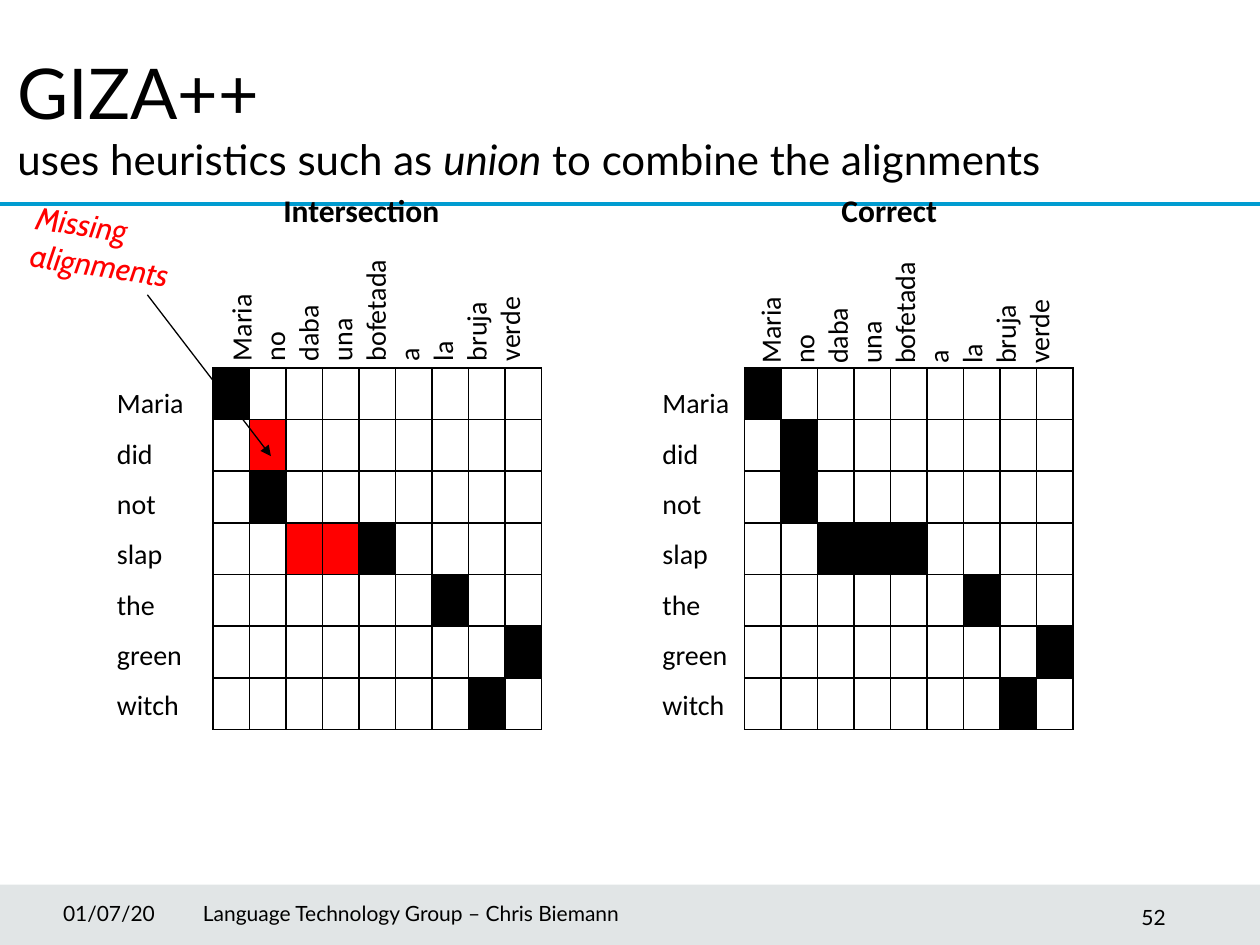
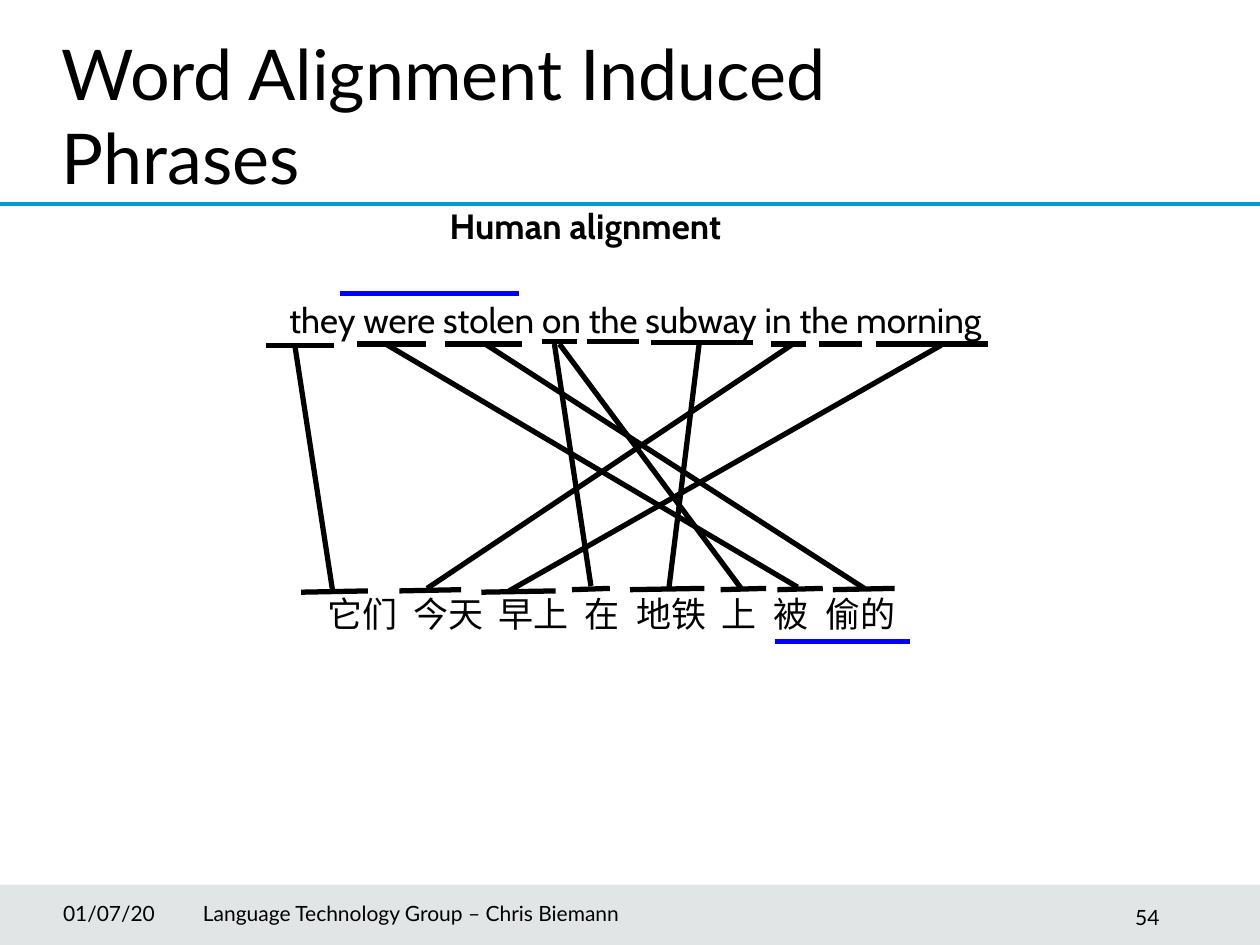
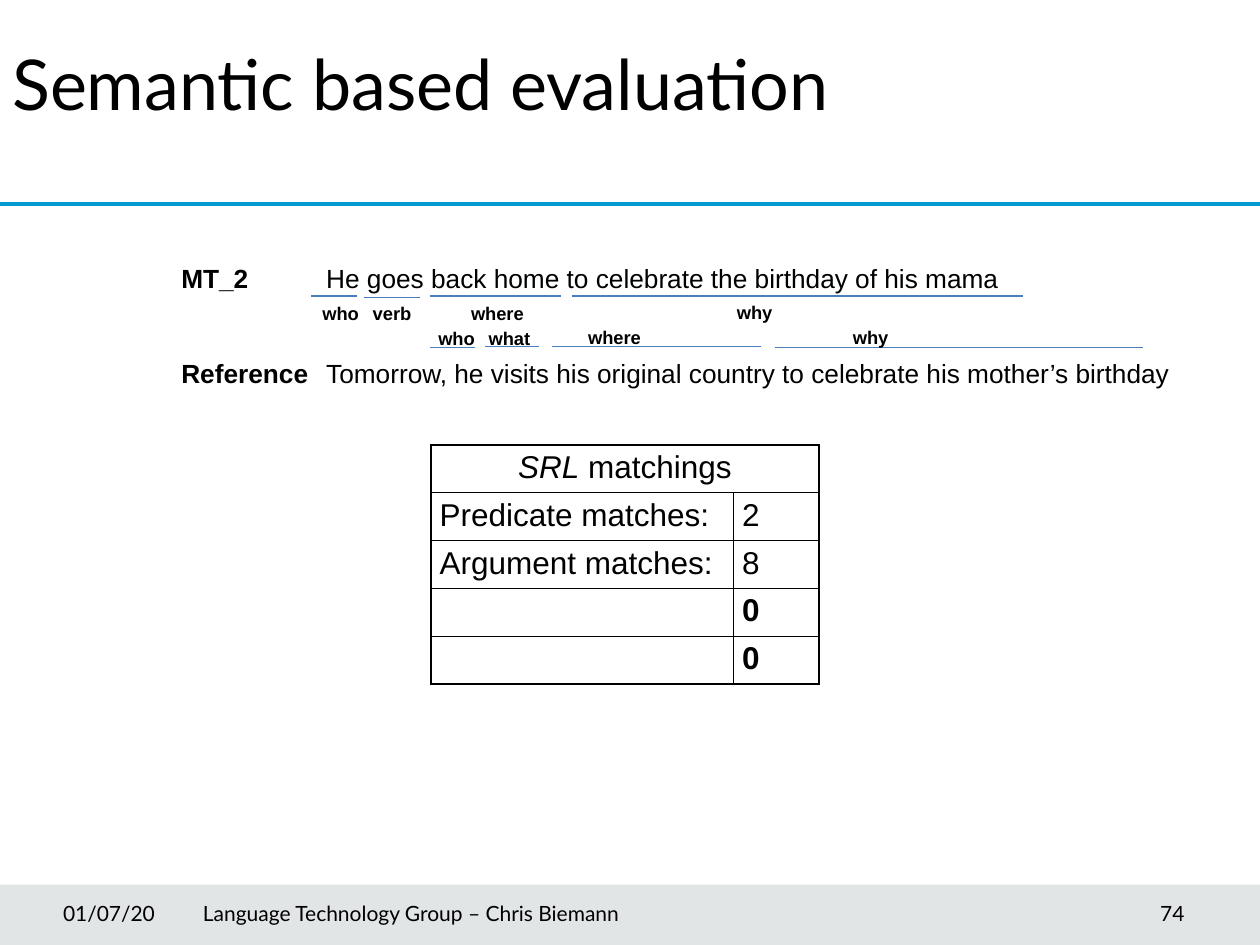
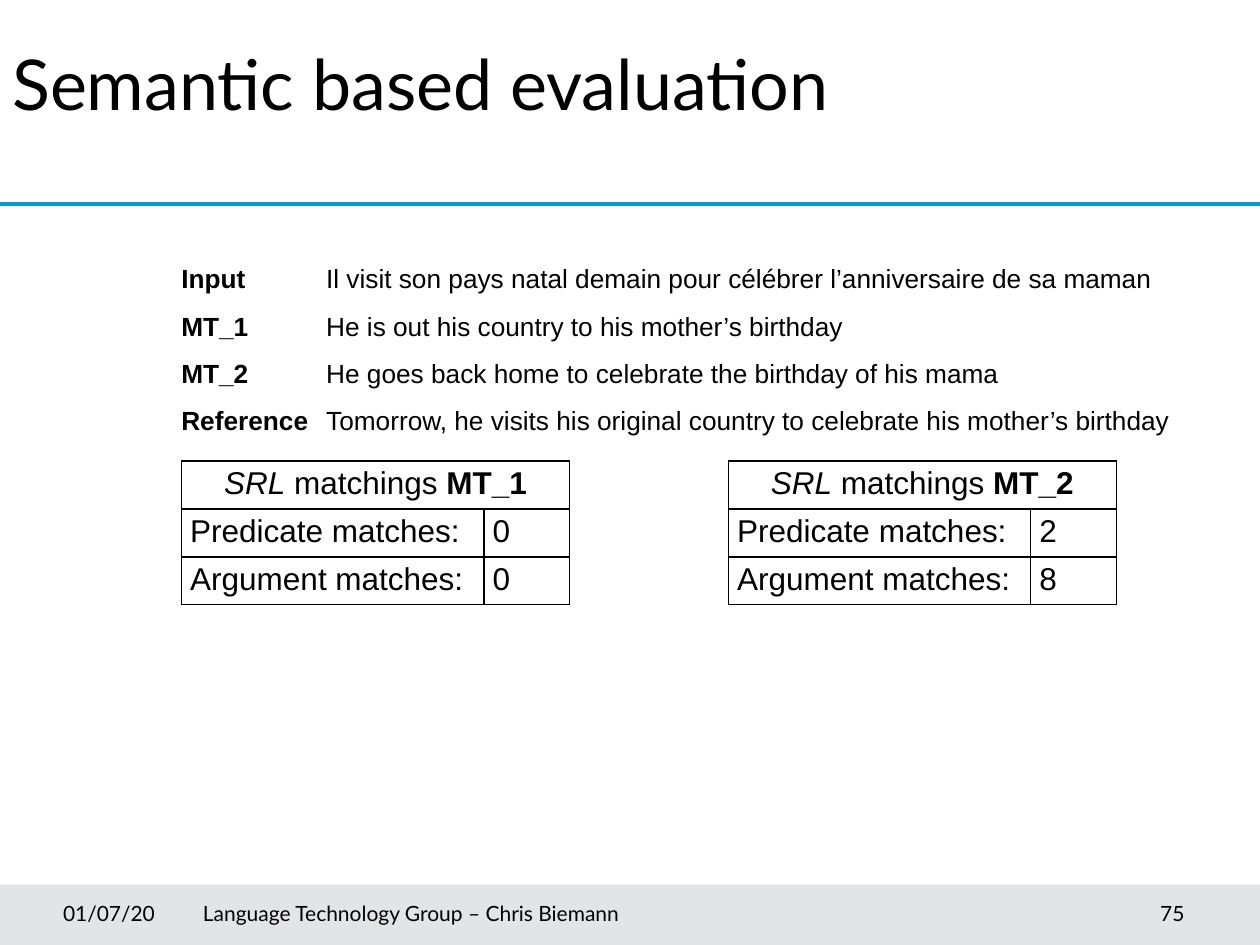
from dataclasses import dataclass
from itertools import accumulate

from lxml import etree
from pptx import Presentation
from pptx import util as u
from pptx.dml.color import RGBColor
from pptx.enum import shapes, text
from pptx.oxml.ns import qn

PX = 9144  # one px is a hundredth of an inch
LEFT, CENTER, RIGHT = text.PP_ALIGN.LEFT, text.PP_ALIGN.CENTER, text.PP_ALIGN.RIGHT


@dataclass(frozen=True)
class Theme:
    black: str = "000000"
    white: str = "FFFFFF"
    red: str = "FF0000"
    blue: str = "0000FF"
    rule: str = "009CD1"
    band: str = "3B515B"
    role_line: str = "4B7EBC"
    heading_font: str = "Lato"
    grid_font: str = "Calibri"
    example_font: str = "Cabin"
    body_font: str = "Arial"
    title: float = 40
    subtitle: float = 24
    phrase: float = 20
    caption: float = 18
    word: float = 16
    body: float = 15
    footer: float = 12
    role: float = 10.5


def color(value):
    return RGBColor.from_string(value)


class Deck:
    def __init__(self, theme):
        self.theme = theme
        self.presentation = Presentation()
        self.presentation.slide_width = u.Emu(1000 * PX)
        self.presentation.slide_height = u.Emu(750 * PX)
        self.slide = None

    def new_slide(self, number, number_box, align=LEFT):
        """Start a slide with its rule, footer band and footer texts."""
        theme = self.theme
        self.slide = self.presentation.slides.add_slide(self.presentation.slide_layouts[6])
        band = self.rectangle((0, 702, 1000, 48), theme.band)
        fill_color = band._element.spPr.find(qn("a:solidFill"))[0]
        etree.SubElement(fill_color, qn("a:alpha"), val="15000")
        self.line((0, 162), (1000, 162), theme.rule, 2)
        footer = dict(font=theme.heading_font, size=theme.footer, middle=True)
        self.text((50, 705, 99, 40), ["01/07/20"], inset=0, **footer)
        self.text((157, 705, 495, 40), ["Language Technology Group – Chris Biemann"],
                  inset=4, **footer)
        self.text(number_box, [str(number)], align=align,
                  inset=10 if align == RIGHT else 0, **footer)

    def title(self, box, runs):
        self.text(box, [runs], self.theme.heading_font, self.theme.title)

    def rectangle(self, box, fill):
        shape = self.slide.shapes.add_shape(
            shapes.MSO_SHAPE.RECTANGLE, *(value * PX for value in box))
        shape.shadow.inherit = False
        shape.fill.solid()
        shape.fill.fore_color.rgb = color(fill)
        shape.line.fill.background()
        return shape

    def text(self, box, paragraphs, font, size, ink=None, style="", align=LEFT, fill=None,
             inset=10, middle=False, grow=False, rotation=0, spacing=None, gap=0, tabs=()):
        if fill:
            shape = self.rectangle(box, fill)
        else:
            shape = self.slide.shapes.add_textbox(*(value * PX for value in box))
        shape.rotation = rotation
        frame = shape.text_frame
        frame.word_wrap = not grow
        frame.auto_size = (text.MSO_AUTO_SIZE.SHAPE_TO_FIT_TEXT if grow
                           else text.MSO_AUTO_SIZE.NONE)
        frame.vertical_anchor = text.MSO_ANCHOR.MIDDLE if middle else text.MSO_ANCHOR.TOP
        frame.margin_left = inset * PX
        for index, content in enumerate(paragraphs):
            paragraph = frame.add_paragraph() if index else frame.paragraphs[0]
            paragraph.alignment = align
            if spacing:
                paragraph.line_spacing = spacing
            if index and gap:
                paragraph.space_before = u.Pt(gap)
            if tabs:
                tab_list = etree.SubElement(paragraph._p.get_or_add_pPr(), qn("a:tabLst"))
                for tab in tabs:
                    etree.SubElement(tab_list, qn("a:tab"), pos=str(tab * PX), algn="l")
            self.add_runs(paragraph, content, font, size, ink, style)

    def add_runs(self, paragraph, content, font, size, ink=None, style=""):
        """Content is plain text or a list of (text, style[, size]) runs."""
        runs = [(content, style)] if isinstance(content, str) else content
        for words, run_style, *run_size in runs:
            if words == "\n":
                paragraph.add_line_break()
                continue
            run = paragraph.add_run()
            run.text = words
            run.font.name = font
            run.font.size = u.Pt(run_size[0] if run_size else size)
            run.font.bold = "b" in run_style
            run.font.italic = "i" in run_style
            run.font.color.rgb = color(ink or self.theme.black)

    def line(self, start, end, ink, width, arrow=False):
        connector = self.slide.shapes.add_connector(
            shapes.MSO_CONNECTOR.STRAIGHT, *(value * PX for value in (*start, *end)))
        connector.line.color.rgb = color(ink)
        connector.line.width = u.Pt(width)
        properties = connector._element.spPr
        if arrow:
            etree.SubElement(properties.find(qn("a:ln")), qn("a:tailEnd"), type="triangle")
        etree.SubElement(properties, qn("a:effectLst"))

    def table(self, left, top, widths, height, row_count):
        """Add an unfilled table with thin black borders."""
        frame = self.slide.shapes.add_table(
            row_count, len(widths), left * PX, top * PX,
            sum(widths) * PX, height * row_count * PX)
        table = frame.table
        table.first_row = table.horz_banding = False
        for column, width in zip(table.columns, widths):
            column.width = width * PX
        for row in table.rows:
            row.height = height * PX
        for cell in table.iter_cells():
            cell.margin_left = cell.margin_right = 7 * PX
            cell.margin_top = cell.margin_bottom = 4 * PX
            cell.fill.background()
            properties = cell._tc.get_or_add_tcPr()
            for index, side in enumerate(("lnL", "lnR", "lnT", "lnB")):
                border = etree.Element(qn("a:" + side), w=str(u.Pt(1)))
                solid = etree.SubElement(border, qn("a:solidFill"))
                etree.SubElement(solid, qn("a:srgbClr"), val=self.theme.black)
                properties.insert(index, border)
        return table

    def alignment_grid(self, left, marks):
        """Marks hold one string a row: # aligned, ! missing, . empty."""
        inks = {"#": self.theme.black, "!": self.theme.red}
        table = self.table(left, 292, [29] * len(marks[0]), 41, len(marks))
        for row, row_marks in enumerate(marks):
            for column, mark in enumerate(row_marks):
                if mark in inks:
                    fill = table.cell(row, column).fill
                    fill.solid()
                    fill.fore_color.rgb = color(inks[mark])

    def matchings_table(self, left, top, heading, rows):
        theme = self.theme
        table = self.table(left, top, [240, 68], 38, len(rows) + 1)
        table.cell(0, 0).merge(table.cell(0, 1))
        heading_paragraph = table.cell(0, 0).text_frame.paragraphs[0]
        heading_paragraph.alignment = CENTER
        self.add_runs(heading_paragraph, heading, theme.body_font, theme.caption)
        for row, (label, count, style) in enumerate(rows, 1):
            for column, words in enumerate((label, count)):
                if words:
                    self.add_runs(table.cell(row, column).text_frame.paragraphs[0], words,
                                  theme.body_font, theme.caption, style=style)

    def sentences(self, height, rows, gap=0):
        theme = self.theme
        self.text((134, 191, 811, height),
                  [[(name + "\t", "b"), (sentence, "")] for name, sentence in rows],
                  theme.body_font, theme.body, grow=True, spacing=1.5, gap=gap, tabs=[115])


ENGLISH = ["Maria", "did", "not", "slap", "the", "green", "witch"]
SPANISH = ["Maria", "no", "daba", "una", "bofetada", "a", "la", "bruja", "verde"]
CORRECT = ["#........", ".#.......", ".#.......", "..###....",
           "......#..", "........#", ".......#."]
INTERSECTION = [CORRECT[0], ".!.......", CORRECT[2], "..!!#....", *CORRECT[4:]]

MT_2 = ("MT_2", "He goes back home to celebrate the birthday of his mama")
REFERENCE = ("Reference",
             "Tomorrow, he visits his original country to celebrate his mother’s birthday")


def heuristics_slide(deck):
    theme = deck.theme
    deck.new_slide(52, (906, 705, 34, 45))
    # Two grids, each with a caption, row words and turned column words
    grids = [("Correct", (658, 147, 110, 40), 591, 516, (665, 119), CORRECT),
             ("Intersection", (215, 147, 163, 40), 169, 83, (245, 117), INTERSECTION)]
    for caption, caption_box, grid_left, words_left, column_words, marks in grids:
        deck.alignment_grid(grid_left, marks)
        deck.text((words_left, 288, 77, 293), ENGLISH, theme.grid_font, theme.word,
                  grow=True, spacing=1.5)
        deck.text((*column_words, 107, 252), SPANISH, theme.grid_font, theme.word,
                  grow=True, rotation=270)
        deck.text(caption_box, [caption], theme.grid_font, theme.caption,
                  style="b", grow=True)
    # Callout
    deck.text((16, 161, 142, 71), ["Missing", "alignments"], theme.example_font,
              theme.caption, ink=theme.red, style="i", grow=True, rotation=8.6)
    deck.line((117, 234), (215, 362), theme.black, 0.75, arrow=True)
    deck.title((4, 34, 852, 47), [
        ("GIZA++", ""), ("\n", ""),
        ("uses heuristics such as ", "", theme.subtitle), ("union", "i", theme.subtitle),
        (" to combine the alignments", "", theme.subtitle)])


def phrases_slide(deck):
    theme = deck.theme
    deck.new_slide(54, (901, 705, 43, 45))
    deck.title((39, 19, 752, 92), "Word Alignment Induced Phrases")
    deck.text((347, 157, 271, 44), ["Human alignment"], theme.example_font, theme.phrase,
              style="b", grow=True)
    # Sentence pair
    deck.text((193, 232, 623, 44), ["they were stolen on the subway in the morning"],
              theme.example_font, theme.phrase, align=CENTER, fill=theme.white, grow=True)
    chinese = ["它们", "今天", "早上", "在", "地铁", "上", "被", "偷的"]
    tabs = list(accumulate(27 * len(word) + 14 for word in chinese[:-1]))
    deck.text((228, 465, 525, 44), ["\t".join(chinese)], theme.example_font, theme.phrase,
              fill=theme.white, inset=32, tabs=tabs)
    # Word marks: left, right, height
    english_marks = [(211, 265, 274), (283, 338, 273), (353, 414, 273), (430, 458, 271),
                     (466, 507, 271), (517, 598, 272), (612, 640, 273), (650, 684, 273),
                     (695, 784, 273)]
    for left, right, top in english_marks:
        deck.line((left, top), (right, top), theme.black, 3)
    chinese_marks = [(239, 292, 470), (317, 366, 469), (382, 441, 470), (454, 484, 468),
                     (500, 559, 468), (572, 608, 468), (617, 653, 468), (661, 710, 468)]
    for left, right, top in chinese_marks:
        deck.line((left, top), (right, top - 1), theme.black, 3)
    # Links between the words
    links = [((234, 274), (264, 469)), ((747, 274), (404, 469)), ((555, 272), (531, 466)),
             ((306, 273), (633, 466)), ((385, 273), (686, 467)), ((440, 273), (469, 465)),
             ((444, 273), (589, 468)), ((628, 274), (339, 467))]
    for start, end in links:
        deck.line(start, end, theme.black, 3)
    # Induced phrase pair
    for left, right, top in [(270, 412, 233), (615, 722, 509)]:
        deck.line((left, top), (right, top), theme.blue, 3)


def roles_slide(deck):
    theme = deck.theme
    deck.new_slide(74, (798, 705, 152, 40), RIGHT)
    deck.title((0, 27, 1003, 66), "Semantic based evaluation")
    deck.sentences(124, [MT_2, REFERENCE], gap=27)
    deck.matchings_table(342, 353, [("SRL", "i"), (" matchings", "")], [
        ("Predicate matches:", "2", ""), ("Argument matches:", "8", ""),
        ("", "0", "b"), ("", "0", "b")])
    # Role marks: line left, line right, line height, label, label left, top, width
    roles = [(247, 283, 235, "who", 246, 235, 49), (289, 333, 236, "verb", 286, 235, 51),
             (341, 445, 235, "where", 364, 235, 63), (454, 812, 235, "why", 575, 234, 49),
             (341, 377, 276, "who", 338, 255, 49), (385, 428, 275, "what", 378, 255, 54),
             (438, 604, 275, "where", 457, 254, 63), (615, 907, 276, "why", 667, 254, 49)]
    for start, end, height, label, left, top, width in roles:
        deck.line((start, height), (end, height), theme.role_line, 0.75)
        deck.text((left, top, width, 28), [label], theme.body_font, theme.role,
                  style="b", grow=True)


def comparison_slide(deck):
    deck.new_slide(75, (798, 705, 152, 40), RIGHT)
    deck.title((0, 27, 1003, 66), "Semantic based evaluation")
    deck.sentences(162, [
        ("Input", "Il visit son pays natal demain pour célébrer l’anniversaire de sa maman"),
        ("MT_1", "He is out his country to his mother’s birthday"), MT_2, REFERENCE])
    for left, system, predicates, arguments in [(578, "MT_2", "2", "8"),
                                                (144, "MT_1", "0", "0")]:
        deck.matchings_table(
            left, 366, [("SRL", "i"), (" matchings ", ""), (system, "b")],
            [("Predicate matches:", predicates, ""), ("Argument matches:", arguments, "")])


def main():
    deck = Deck(Theme())
    heuristics_slide(deck)
    phrases_slide(deck)
    roles_slide(deck)
    comparison_slide(deck)
    deck.presentation.save("out.pptx")


if __name__ == "__main__":
    main()
